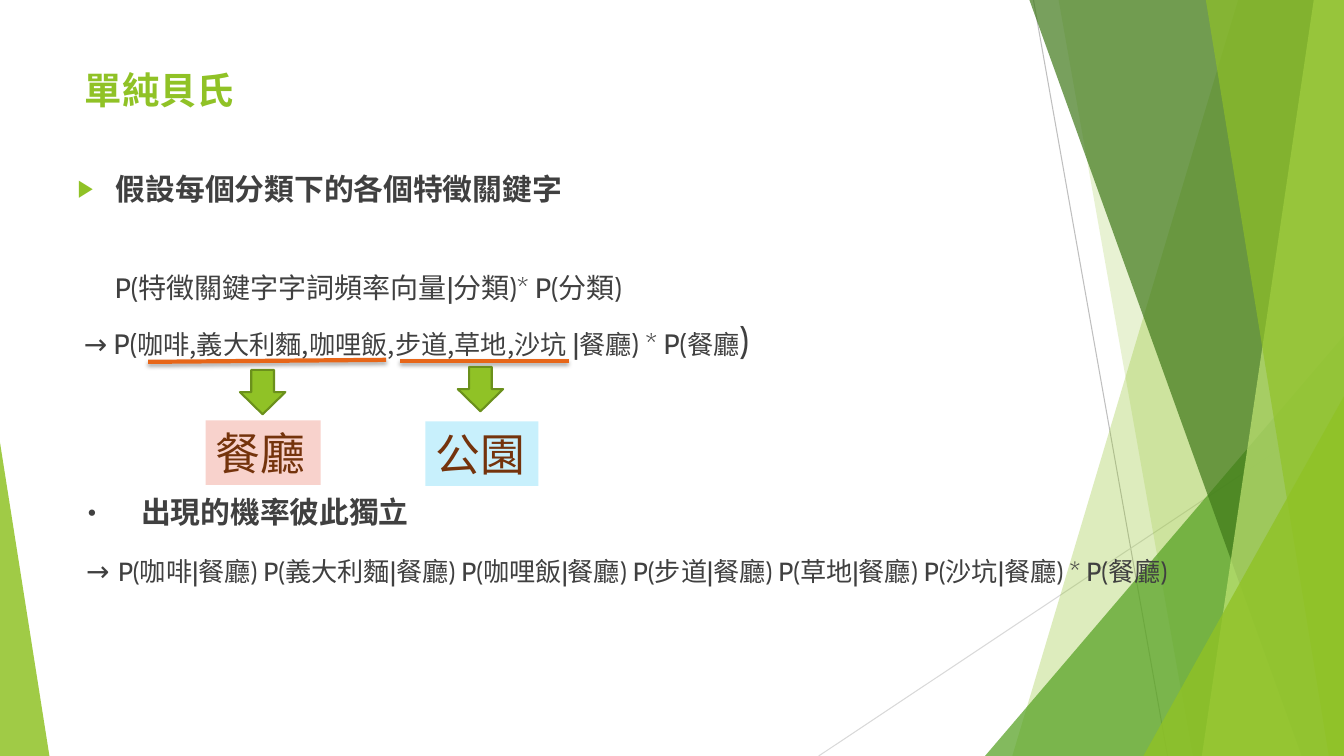
import pptx
import pptx.util
import pptx.dml.color
import pptx.enum.shapes
import pptx.enum.text
import pptx.oxml
import pptx.oxml.ns
from lxml import etree

Inches, Pt = pptx.util.Inches, pptx.util.Pt
Shape = pptx.enum.shapes.MSO_SHAPE
Text = pptx.enum.text
HUES = {
    "lime": "90C226", "green": "54A021", "dark": "3F7819", "pale": "C0E474",
    "edge": "6B901C", "ink": "404040", "gray": "BFBFBF", "light": "D9D9D9",
    "mark": "E76618", "brown": "74330C", "pink": "F8D2CC", "sky": "C8F0FC",
    "black": "000000",
}
CJK, LATIN = "Noto Sans CJK SC", "Cabin"


def rgb(hue):
    """Return the named colour."""
    return pptx.dml.color.RGBColor.from_string(HUES[hue])


def node(parent, tag, **attrs):
    """Append a drawing element with attributes."""
    item = etree.SubElement(parent, pptx.oxml.ns.qn("a:" + tag))
    for key, value in attrs.items():
        item.set(key, str(value))
    return item


def apply(target, values):
    """Set each attribute of the target from a dict."""
    for key, value in values.items():
        setattr(target, key, value)


def place(shape, box):
    """Move a shape to a box given in inches."""
    names = ("left", "top", "width", "height")
    apply(shape, dict(zip(names, map(Inches, box))))


def paint(shape, hue, alpha=100):
    """Fill a shape without outline or shadow."""
    shape.shadow.inherit = False
    shape.fill.solid()
    shape.fill.fore_color.rgb = rgb(hue)
    shape.line.fill.background()
    if alpha < 100:
        color = shape.fill._xPr.find(".//" + pptx.oxml.ns.qn("a:srgbClr"))
        node(color, "alpha", val=alpha * 1000)


def rule(slide, start, end, hue, width, shade=False):
    """Draw a straight line, with a soft shadow if asked."""
    ends = map(Inches, (*start, *end))
    line = slide.shapes.add_connector(
        pptx.enum.shapes.MSO_CONNECTOR.STRAIGHT, *ends)
    line.line.color.rgb = rgb(hue)
    line.line.width = Pt(width)
    list_ = node(line._element.spPr, "effectLst")
    if shade:
        glow = node(list_, "outerShdw", blurRad=Pt(3), dist=Pt(2),
                    dir=5400000, rotWithShape=0)
        color = node(glow, "srgbClr", val=HUES["black"])
        node(color, "alpha", val=35000)


def write(para, text, font, size, hue, bold=False):
    """Add one formatted run to a paragraph."""
    run = para.add_run()
    run.text = text
    apply(run.font, {"name": font, "size": Pt(size), "bold": bold})
    run.font.color.rgb = rgb(hue)
    node(run._r.get_or_add_rPr(), "ea", typeface=CJK)


def indent(para, left, first, mark=None, hue="ink", scale=100, font=CJK):
    """Set the indents and the bullet of a paragraph."""
    props = para._p.get_or_add_pPr()
    props.set("marL", str(Inches(left)))
    props.set("indent", str(Inches(first)))
    if not mark:
        node(props, "buNone")
        return
    node(node(props, "buClr"), "srgbClr", val=HUES[hue])
    node(props, "buSzPct", val=scale * 1000)
    node(props, "buFont", typeface=font)
    node(props, "buChar", char=mark)


def decor(slide, box):
    """Draw the layered facets at the slide edges."""
    x, y, w, h = box
    right, base = x + w, y + h
    rule(slide, (x + 10.25, y), (x + 11.58, base), "gray", 0.75)
    rule(slide, (right, y + 4.03), (x + 8.12, base), "light", 0.75)

    def facet(top, low, hue, alpha):
        points = [(x + top, y), (right, y), (right, base), (x + low, base)]
        points = [tuple(map(Inches, point)) for point in points]
        form = slide.shapes.build_freeform(*points[0], scale=1.0)
        form.add_line_segments(points[1:], close=True)
        paint(form.convert_to_shape(), hue, alpha)

    def wedge(left, top, width, tip, hue, alpha):
        shape = slide.shapes.add_shape(
            Shape.ISOSCELES_TRIANGLE,
            *map(Inches, (x + left, y + top, width, h - top)))
        shape.adjustments[0] = tip
        paint(shape, hue, alpha)

    facet(12.28, 10.04, "lime", 30)
    facet(10.5, 11.83, "lime", 20)
    wedge(9.77, 3.33, 3.56, 1, "green", 72)
    facet(10.21, 12.91, "dark", 70)
    facet(13.03, 11.92, "pale", 70)
    facet(11.96, 13.18, "lime", 65)
    wedge(11.34, 3.93, 1.99, 1, "lime", 80)
    wedge(0, 4.39, 0.49, 0, "lime", 85)


def front(slide, shape, box):
    """Bring a placeholder forward and fit it to its box."""
    slide.shapes._spTree.append(shape._element)
    place(shape, box)
    apply(shape.text_frame, {
        "vertical_anchor": Text.MSO_ANCHOR.TOP, "word_wrap": True,
        "auto_size": Text.MSO_AUTO_SIZE.NONE})


def heading(slide, box):
    """Write the title."""
    title = slide.shapes.title
    front(slide, title, box)
    para = title.text_frame.paragraphs[0]
    apply(para, {"alignment": Text.PP_ALIGN.LEFT, "line_spacing": 0.9})
    write(para, "單純貝氏", CJK, 26.7, "lime", True)


def body(slide, box):
    """Write the assumption and its formulas."""
    holder = slide.placeholders[1]
    front(slide, holder, box)
    frame = holder.text_frame
    frame.margin_top = Inches(0.6)
    place_ = "餐廳"
    terms = ["咖啡", "義大利麵", "咖哩飯", "步道", "草地", "沙坑"]
    joint = [(" → P(", LATIN, 20), (",".join(terms) + " ", CJK, 18.7),
             ("|", LATIN, 20), (place_, CJK, 18.7), (") * P(", LATIN, 20),
             (place_, CJK, 18.7), (")", LATIN, 26.7)]
    split = [(" ", LATIN, 26.7), ("→", LATIN, 20), (" ", LATIN, 26.7),
             ("P(", LATIN, 18.7)]
    for term in terms:
        link = ") * P(" if term == terms[-1] else ") P("
        split += [(term, CJK, 18.7), ("|", LATIN, 18.7),
                  (place_, CJK, 18.7), (link, LATIN, 18.7)]
    split += [(place_, CJK, 18.7), (")", LATIN, 18.7)]
    rows = [
        (0, (0.38, -0.38, "▶", "lime", 80, "Arial"), True,
         [("假設每個分類下的各個特徵關鍵字", CJK, 21.3)]),
        (47, (0.37, 0), False,
         [("P(特徵關鍵字字詞頻率向量|分類)* P(分類)", LATIN, 20)]),
        (18, (0, 0), False, joint),
        (97, (0.63, -0.63, "•"), True, [("出現的機率彼此獨立", CJK, 21.3)]),
        (19, (0, 0), False, split),
    ]
    for index, (gap, inset, bold, runs) in enumerate(rows):
        para = frame.add_paragraph() if index else frame.paragraphs[0]
        indent(para, *inset)
        apply(para, {"space_before": Pt(gap), "line_spacing": Pt(23),
                     "alignment": Text.PP_ALIGN.LEFT})
        for text, font, size in runs:
            write(para, text, font, size, "ink", bold)


def group(slide, box, line, arrow, label, text, hue):
    """Underline some keywords and point to their class."""
    x, y = box[:2]
    start, end = [(x + a, y + b) for a, b in line]
    rule(slide, start, end, "mark", 3, True)
    spot = (x + arrow[0], y + arrow[1], 0.45, 0.44)
    shape = slide.shapes.add_shape(Shape.DOWN_ARROW, *map(Inches, spot))
    paint(shape, "lime")
    shape.line.color.rgb = rgb("edge")
    shape.line.width = Pt(1.5)
    spot = (x + label[0], y + label[1], label[2], 0.64)
    tag = slide.shapes.add_textbox(*map(Inches, spot))
    tag.fill.solid()
    tag.fill.fore_color.rgb = rgb(hue)
    apply(tag.text_frame, {"word_wrap": True,
                           "auto_size": Text.MSO_AUTO_SIZE.SHAPE_TO_FIT_TEXT})
    write(tag.text_frame.paragraphs[0], text, LATIN, 32, "brown")


def main():
    """Build and save the slide."""
    deck = pptx.Presentation()
    apply(deck, {"slide_width": Inches(13.33), "slide_height": Inches(7.5)})
    slide = deck.slides.add_slide(deck.slide_layouts[1])
    decor(slide, (0, 0, 13.33, 7.5))
    heading(slide, (0.74, 0.67, 9.4, 1.44))
    body(slide, (0.67, 1.13, 12, 5.57))
    group(slide, (1.47, 3.57, 2.36, 1.24), ((0, 0.02), (2.36, 0)),
          (0.91, 0.1), (0.57, 0.6, 1.14), "餐廳", "pink")
    group(slide, (3.97, 3.58, 1.67, 1.24), ((0, 0), (1.67, 0)),
          (0.57, 0.06), (0.25, 0.6, 1.12), "公園", "sky")
    deck.save("out.pptx")


if __name__ == "__main__":
    main()
